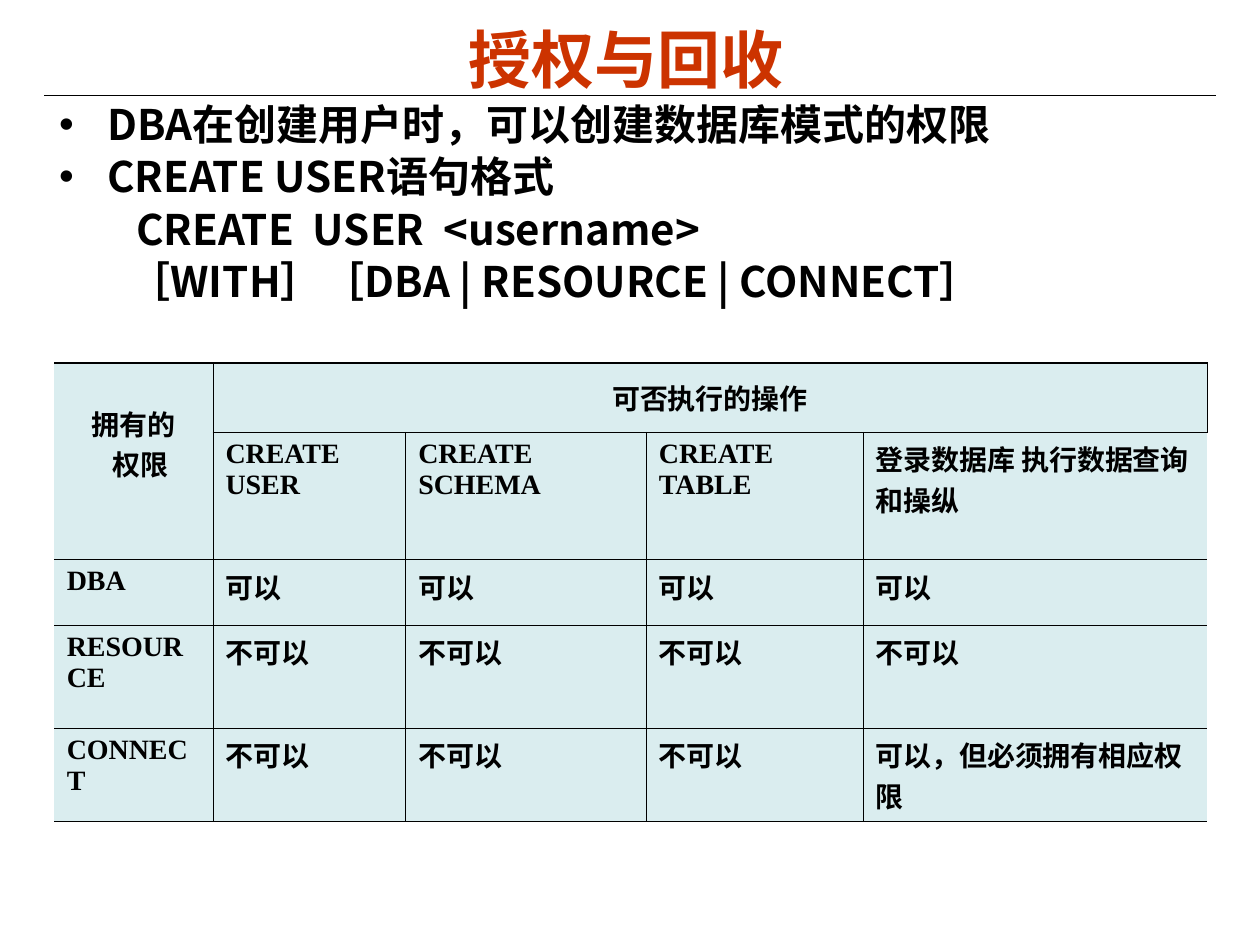
"""Builds the slide on granting and revoking database privileges."""
from dataclasses import dataclass
from typing import Any, Optional

from lxml import etree
from pptx import Presentation, util as u
from pptx.dml.color import RGBColor
from pptx.enum import shapes, text
from pptx.oxml.ns import qn

COLORS = {"ink": "000000", "title": "CC3300", "cell": "DAEDEF"}
CJK = "Noto Sans CJK SC"
LATIN = "Times New Roman"
COLS = [1.26, 1.53, 1.91, 1.72, 2.73]
ROWS = [0.55, 0.98, 0.52, 0.82, 0.64]
THIN, THICK = 0.45, 1.08


@dataclass
class Line:
    text: str
    left: float = 0.38
    hanging: float = 0.0
    bullet: bool = False


BODY = [
    Line("DBA在创建用户时，可以创建数据库模式的权限", hanging=0.38, bullet=True),
    Line("CREATE USER语句格式", hanging=0.38, bullet=True),
    Line("CREATE  USER  <username>", left=0.61),
    Line("［WITH］［DBA | RESOURCE | CONNECT］", left=0.55),
]
GRID = [
    ["拥有的\n权限", "可否执行的操作", "", "", ""],
    ["", "CREATE USER", "CREATE SCHEMA", "CREATE TABLE", "登录数据库 执行数据查询和操纵"],
    ["DBA"] + ["可以"] * 4,
    ["RESOURCE"] + ["不可以"] * 4,
    ["CONNECT"] + ["不可以"] * 3 + ["可以，但必须拥有相应权限"],
]


def rgb(name: str) -> RGBColor:
    return RGBColor.from_string(COLORS[name])


def write(p: Any, content: str, *, size: float, font: str = CJK, color: str = "ink",
          align: Optional[text.PP_ALIGN] = None) -> None:
    r = p.add_run()
    r.text = content
    r.font.size, r.font.bold, r.font.name = u.Pt(size), True, font
    r.font.color.rgb = rgb(color)
    etree.SubElement(r._r.get_or_add_rPr(), qn("a:ea"), typeface=CJK)
    if align is not None:
        p.alignment = align


def place(sp: Any, left: float, top: float, width: float, height: float) -> Any:
    sp.left, sp.top = u.Inches(left), u.Inches(top)
    sp.width, sp.height = u.Inches(width), u.Inches(height)
    tf = sp.text_frame
    tf.word_wrap, tf.auto_size = True, text.MSO_AUTO_SIZE.NONE
    return tf


def indent(p: Any, left: float, hanging: float = 0.0) -> Any:
    pPr = p._p.get_or_add_pPr()
    pPr.set("marL", str(u.Inches(left)))
    pPr.set("indent", str(-u.Inches(hanging)))
    return pPr


def draw_body(sp: Any) -> None:
    tf = place(sp, 0.37, 0.8, 9.25, 2.02)
    tf.vertical_anchor = text.MSO_ANCHOR.TOP
    for i, line in enumerate(BODY):
        p = tf.paragraphs[0] if i == 0 else tf.add_paragraph()
        p.space_before, p.line_spacing = u.Pt(6), 0.83
        pPr = indent(p, line.left, line.hanging)
        if line.bullet:
            clr = etree.SubElement(pPr, qn("a:buClr"))
            etree.SubElement(clr, qn("a:srgbClr"), val=COLORS["ink"])
            etree.SubElement(pPr, qn("a:buChar"), char="•")
        else:
            etree.SubElement(pPr, qn("a:buNone"))
        write(p, line.text, size=24)


def border(cell: Any, **widths: float) -> None:
    tcPr = cell._tc.get_or_add_tcPr()
    for i, side in enumerate("LRTB"):
        width = widths.get(side, THIN)
        ln = etree.Element(qn(f"a:ln{side}"), w=str(u.Pt(width)))
        if width:
            fill = etree.SubElement(ln, qn("a:solidFill"))
            etree.SubElement(fill, qn("a:srgbClr"), val=COLORS["ink"])
        else:
            etree.SubElement(ln, qn("a:noFill"))
        tcPr.insert(i, ln)


def draw_table(s: Any) -> None:
    last_row, last_col = len(ROWS) - 1, len(COLS) - 1
    table = s.shapes.add_table(len(ROWS), len(COLS), u.Inches(0.43), u.Inches(2.88),
                               u.Inches(sum(COLS)), u.Inches(sum(ROWS))).table
    table.first_row = table.horz_banding = False
    for col, width in zip(table.columns, COLS):
        col.width = u.Inches(width)
    for row, height in zip(table.rows, ROWS):
        row.height = u.Inches(height)
    table.cell(0, 0).merge(table.cell(1, 0))
    table.cell(0, 1).merge(table.cell(0, last_col))
    for i, row in enumerate(GRID):
        for j, content in enumerate(row):
            cell = table.cell(i, j)
            cell.fill.solid()
            cell.fill.fore_color.rgb = rgb("cell")
            border(cell, L=THIN if j else 0, R=THIN if j < last_col else 0,
                   T=THIN if i else THICK, B=THIN if i < last_row else THICK)
            for k, part in enumerate(content.split("\n") if content else []):
                p = cell.text_frame.paragraphs[0] if k == 0 else cell.text_frame.add_paragraph()
                write(p, part, size=16, font=LATIN,
                      align=text.PP_ALIGN.CENTER if i == 0 else None)
    corner = table.cell(0, 0)
    corner.margin_top = u.Inches(0.32)
    indent(corner.text_frame.paragraphs[1], 0.11)
    table.cell(0, 1).vertical_anchor = text.MSO_ANCHOR.MIDDLE


def main() -> None:
    prs = Presentation()
    prs.slide_width, prs.slide_height = u.Inches(10), u.Inches(7.5)
    s = prs.slides.add_slide(prs.slide_layouts[1])
    rule = s.shapes.add_connector(shapes.MSO_CONNECTOR.STRAIGHT, u.Inches(0.35),
                                  u.Inches(0.76), u.Inches(9.65), u.Inches(0.76))
    rule.line.color.rgb, rule.line.width = rgb("ink"), u.Pt(0.75)
    etree.SubElement(rule._element.spPr, qn("a:effectLst"))
    draw_body(s.placeholders[1])
    tf = place(s.shapes.title, 0.47, 0.16, 9, 0.61)
    tf.vertical_anchor = text.MSO_ANCHOR.MIDDLE
    write(tf.paragraphs[0], "授权与回收", size=36, color="title", align=text.PP_ALIGN.CENTER)
    draw_table(s)
    prs.save("out.pptx")


if __name__ == "__main__":
    main()
